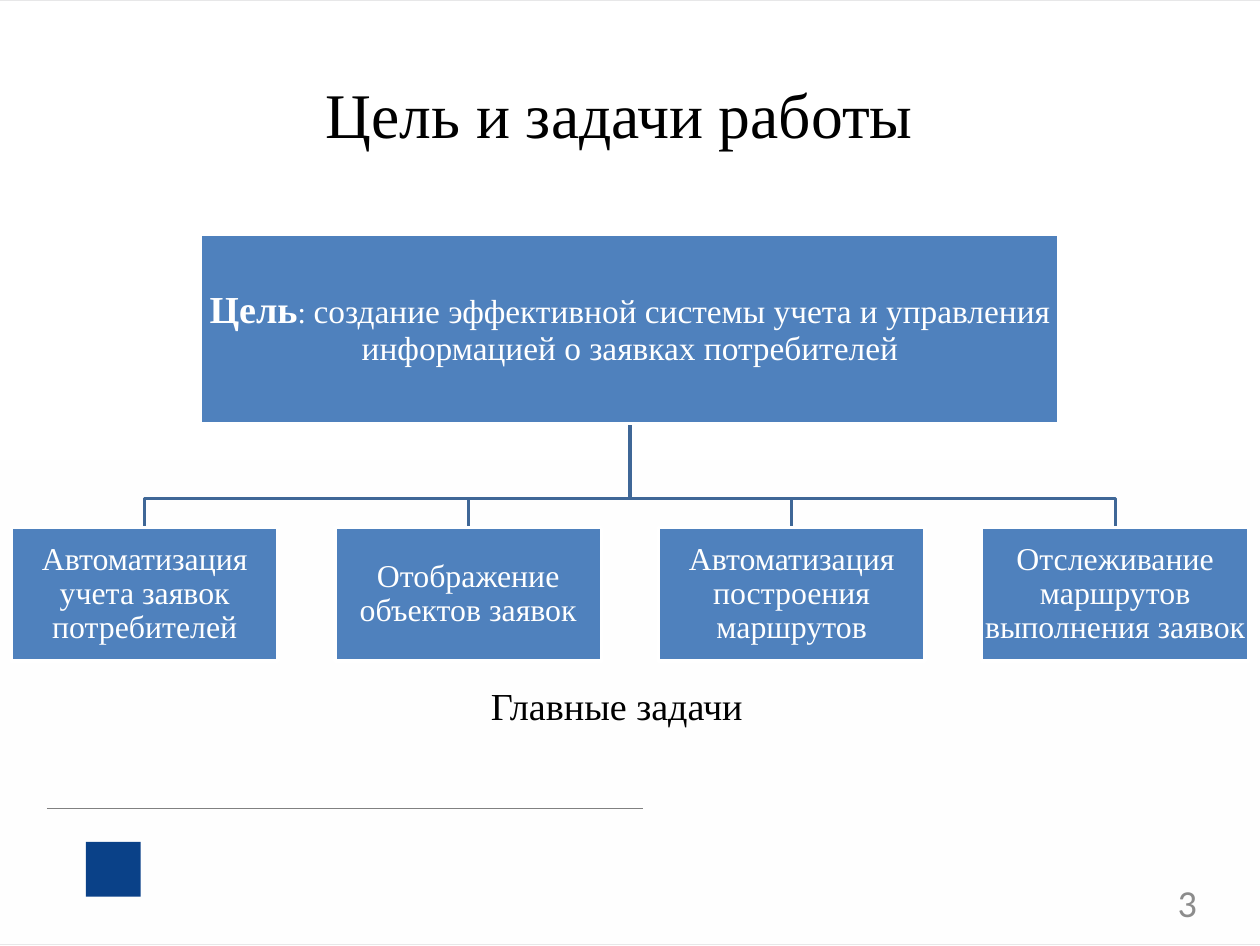
from lxml import etree
from pptx import Presentation
from pptx import util as u
from pptx.dml.color import RGBColor
from pptx.enum import shapes, text
from pptx.oxml.ns import qn

SERIF = "Times New Roman"
TASKS = [
    "Автоматизация учета заявок потребителей",
    "Отображение объектов заявок",
    "Автоматизация построения маршрутов",
    "Отслеживание маршрутов выполнения заявок",
]


def tint(code):
    return RGBColor.from_string(code)


def inch(*nums):
    return [u.Inches(num) for num in nums]


def write(shape, runs, color="000000", font=SERIF, align="CENTER",
          anchor="MIDDLE", inset=0, wrap=True, space=1.0):
    frame = shape.text_frame
    frame.auto_size = text.MSO_AUTO_SIZE.NONE
    frame.word_wrap = wrap
    frame.vertical_anchor = getattr(text.MSO_ANCHOR, anchor)
    frame.margin_left = frame.margin_right = u.Inches(inset)
    frame.margin_top = frame.margin_bottom = u.Inches(inset)
    para = frame.paragraphs[0]
    para.alignment = getattr(text.PP_ALIGN, align)
    para.line_spacing = space
    for words, size, bold in runs:
        run = para.add_run()
        run.text = words
        run.font.name = font
        run.font.size = u.Pt(size)
        run.font.bold = bold
        run.font.color.rgb = tint(color)


def paint(shape, fill=None, line=None, width=2):
    shape.shadow.inherit = False
    if fill:
        shape.fill.solid()
        shape.fill.fore_color.rgb = tint(fill)
    else:
        shape.fill.background()
    if line:
        shape.line.color.rgb = tint(line)
        shape.line.width = u.Pt(width)
    else:
        shape.line.fill.background()


def block(slide, box, **style):
    shape = slide.shapes.add_shape(shapes.MSO_SHAPE.RECTANGLE, *inch(*box))
    paint(shape, **style)
    return shape


def branch(slide, points):
    start, *rest = [inch(*point) for point in points]
    pen = slide.shapes.build_freeform(*start)
    pen.add_line_segments(rest, close=False)
    paint(pen.convert_to_shape(), line="3F6797")


def rule(slide, start, end, color, width):
    line = slide.shapes.add_connector(
        shapes.MSO_CONNECTOR.STRAIGHT, *inch(*start, *end))
    line.line.color.rgb = tint(color)
    line.line.width = u.Pt(width)
    etree.SubElement(line._element.spPr, qn("a:effectLst"))


def frame(slide, box):
    left, top, width, height = box
    half = 4.03
    block(slide, (left, top + half, width, height - half), fill="FEFEFE")
    block(slide, box, line="E7E7E8", width=0.5)


def header(slide, box):
    title = slide.shapes.title
    title.left, title.top, title.width, title.height = inch(*box)
    write(title, [("Цель и задачи работы", 40, False)])


def footer(slide, box):
    left, top, width, height = box
    rule(slide, (left, top), (left + 5.21, top), "808080", 0.57)
    block(slide, (left + 0.34, top + 0.29, 0.48, 0.48), fill="0A4188")
    page = slide.shapes.add_textbox(
        *inch(left + width - 2.53, top + height - 0.41, 2.53, 0.41))
    write(page, [("3", 24, False)], color="8C8C8C", font="Calibri",
          align="RIGHT", anchor="TOP")


def chart(slide, box):
    left, top, width, height = box
    wide, tall = 2.33, 1.17
    step = (width - wide) / (len(TASKS) - 1)
    row = top + height - tall
    bus = row - 0.25
    mid = left + width / 2
    base = top + 1.65
    spots = [left + step * i for i in range(len(TASKS))]

    for spot in reversed(spots):
        end = spot + wide / 2
        branch(slide, [(mid, base), (mid, bus), (end, bus), (end, row)])

    goal = block(slide, (mid - 3.75, top, 7.5, base - top),
                 fill="4F81BD", line="FFFFFF")
    write(goal, [
        ("Цель", 24, True),
        (": ", 19, False),
        ("создание эффективной системы учета и управления "
         "информацией о заявках потребителей", 21, False),
    ], color="FFFFFF", inset=0.02, space=0.9)

    for spot, words in zip(spots, TASKS):
        task = block(slide, (spot, row, wide, tall),
                     fill="4F81BD", line="FFFFFF")
        write(task, [(words, 20, False)], color="FFFFFF",
              inset=0.01, space=0.9)


def label(slide, box):
    note = slide.shapes.add_textbox(*inch(*box))
    write(note, [("Главные задачи", 24, False)], align="LEFT",
          anchor="TOP", inset=0.05, wrap=False)
    note.text_frame.margin_left = u.Inches(0.1)


def main():
    deck = Presentation()
    deck.slide_width, deck.slide_height = inch(11.01, 8.27)
    slide = deck.slides.add_slide(deck.slide_layouts[5])
    frame(slide, (-0.01, 0, 11.03, 8.26))
    header(slide, (0.45, 0.55, 9.92, 0.87))
    footer(slide, (0.41, 7.07, 10.05, 1.03))
    chart(slide, (0.1, 2.05, 10.81, 3.73))
    label(slide, (4.19, 5.92, 2.43, 0.5))
    deck.save("out.pptx")


if __name__ == "__main__":
    main()
